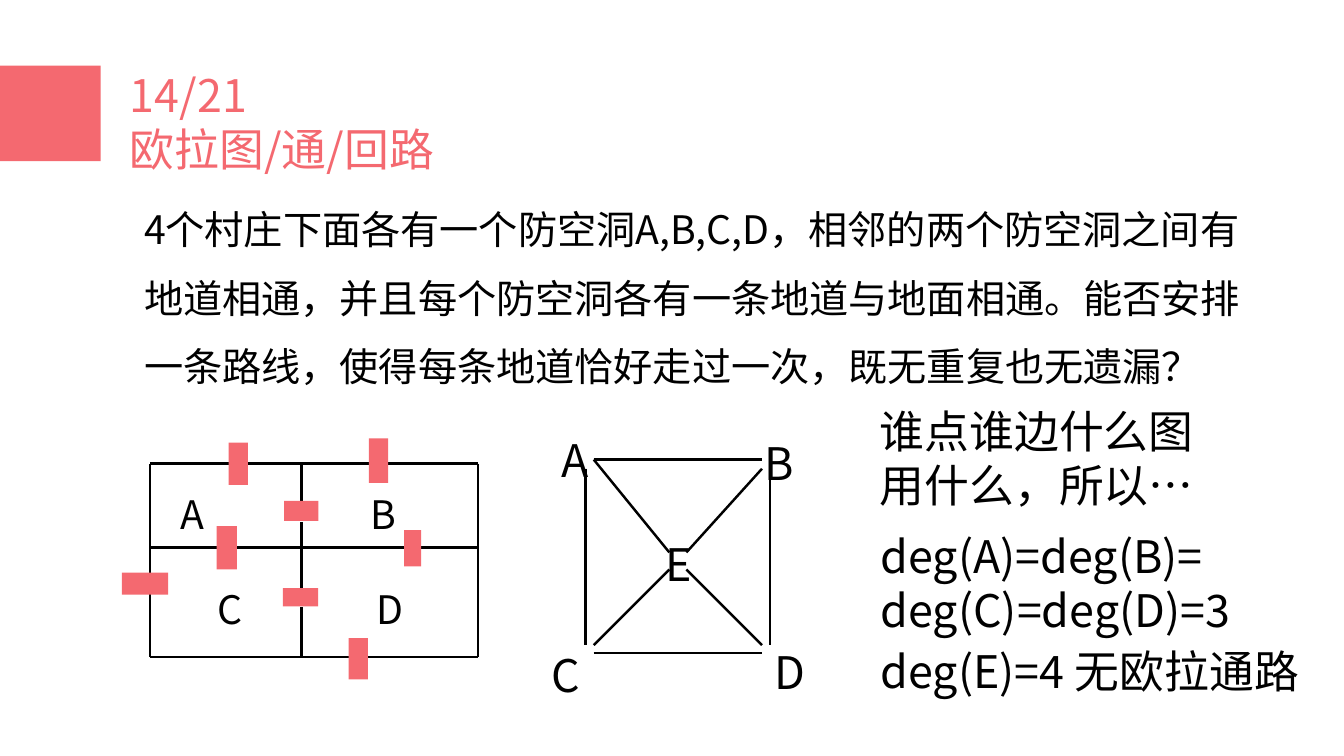
from pptx import Presentation
from pptx.dml.color import RGBColor
from pptx.enum.shapes import MSO_CONNECTOR, MSO_SHAPE
from pptx.util import Pt
from lxml import etree

STRAIGHT = MSO_CONNECTOR.STRAIGHT
RECTANGLE = MSO_SHAPE.RECTANGLE
FONT = "Noto Sans CJK SC"
COLORS = {"coral": "F46970", "black": "000000"}
EFFECT_LIST = "{http://schemas.openxmlformats.org/drawingml/2006/main}effectLst"

presentation = Presentation()
presentation.slide_width = Pt(960)
presentation.slide_height = Pt(540)
slide = presentation.slides.add_slide(presentation.slide_layouts[6])


def add_text(text, left, top, width, height, size=32, color="black", spacing=38.6, wrap=True):
    box = slide.shapes.add_textbox(Pt(left), Pt(top), Pt(width), Pt(height))
    frame = box.text_frame
    frame.word_wrap = wrap
    frame.margin_top = Pt(5.6)
    frame.text = text
    for paragraph in frame.paragraphs:
        paragraph.line_spacing = Pt(spacing)
        for run in paragraph.runs:
            run.font.name = FONT
            run.font.size = Pt(size)
            run.font.color.rgb = RGBColor.from_string(COLORS[color])
            properties = run.font._element
            east_asian = etree.SubElement(properties, EFFECT_LIST.replace("effectLst", "ea"))
            east_asian.set("typeface", FONT)


title_block = (0, 46.8, 72, 68.4)
tunnels = [
    (163.4, 316.1, 13.7, 30.2), (263.5, 313.2, 13.7, 31.7),
    (154.8, 375.8, 14.4, 31), (203, 357.8, 24.5, 14.4),
    (288.7, 378.7, 12.2, 25.9), (249.1, 455.8, 13.7, 29.5),
    (87.1, 409, 33.1, 15.8), (202, 420.1, 25.2, 13),
]

west, middle, east = 107.3, 215.3, 341.3
north, center, south = 331.2, 391, 469.4
horizontal_walls = {
    north: [(west, 167.8), (173.5, 263.5), (275.8, east)],
    center: [(west, 155.5), (167.8, 293.8), (299.5, east)],
    south: [(west, 251.3), (251.3, east)],
}
vertical_walls = {
    west: [(north, 409), (421.2, south)],
    middle: [(north, 361.4), (373, center), (center, 421.2), (433.4, south)],
    east: [(north, south)],
}
lines = [(start, y, end, y) for y, spans in horizontal_walls.items() for start, end in spans]
lines += [(x, start, x, end) for x, spans in vertical_walls.items() for start, end in spans]

left, right, top, bottom = 424.1, 544.3, 334.8, 460.8
hub_left, hub_right, hub_top, hub_bottom = 478.1, 490.3, 394.6, 406.8
lines += [
    (left, 328.3, right, 328.3), (left, 466.6, right, 466.6),
    (418.3, top, 418.3, bottom), (550.1, top, 550.1, bottom),
    (left, 328.3, hub_left, hub_top), (hub_right, hub_bottom, right, bottom),
    (left, bottom, hub_left, hub_bottom), (hub_right, hub_top, right, top),
]

for line in lines:
    connector = slide.shapes.add_connector(STRAIGHT, *[Pt(value) for value in line])
    connector.line.color.rgb = RGBColor.from_string(COLORS["black"])
    connector.line.width = Pt(1.75)
    etree.SubElement(connector._element.spPr, EFFECT_LIST)

for bounds in [title_block] + tunnels:
    shape = slide.shapes.add_shape(RECTANGLE, *[Pt(value) for value in bounds])
    shape.shadow.inherit = False
    shape.fill.solid()
    shape.fill.fore_color.rgb = RGBColor.from_string(COLORS["coral"])
    shape.line.fill.background()

add_text("14/21\n欧拉图/通/回路", 85.7, 42.5, 421.9, 85, color="coral")
add_text(
    "4个村庄下面各有一个防空洞A,B,C,D，相邻的两个防空洞之间有地道相通，"
    "并且每个防空洞各有一条地道与地面相通。能否安排一条路线，"
    "使得每条地道恰好走过一次，既无重复也无遗漏？",
    95.8, 126, 823.7, 149, size=28, spacing=48.9,
)

room_labels = [("A", 121.7, 344.2), ("B", 257.8, 344.2), ("C", 148.3, 411.8), ("D", 262.1, 411.8)]
for letter, x, y in room_labels:
    add_text(letter, x, y, 33, 41, size=28, spacing=34.1, wrap=False)

vertex_labels = [
    ("A", 393.8, 303.1), ("B", 539.3, 305.3), ("C", 386.6, 457.2),
    ("D", 545.8, 455), ("E", 468, 377.3),
]
for letter, x, y in vertex_labels:
    add_text(letter, x, y, 34, 46.1, wrap=False)

add_text("deg(A)=deg(B)=\ndeg(C)=deg(D)=3", 622.1, 371.5, 303.8, 85)
add_text("deg(E)=4 无欧拉通路", 622.1, 454.3, 338.4, 46.1)
add_text("谁点谁边什么图\n用什么，所以…", 621.4, 282.2, 241.2, 85)

presentation.save("out.pptx")
